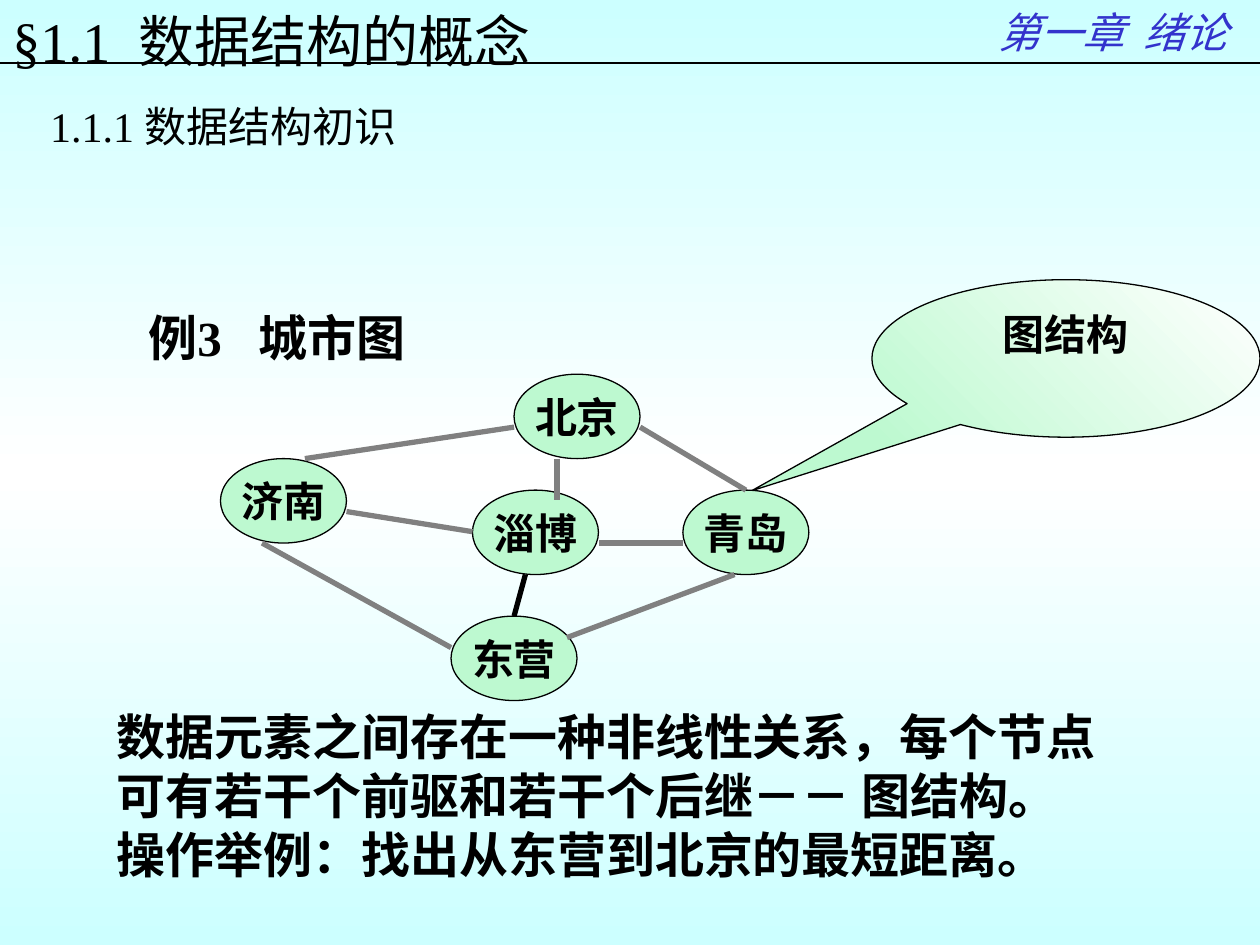
from lxml import etree
from pptx import Presentation, util as u
from pptx.dml.color import RGBColor
from pptx.enum import shapes, text
from pptx.oxml.ns import qn

WIDTH, HEIGHT = 10, 7.5
FONT = "Times New Roman"
BLACK, GRAY, BLUE, GREEN = "000000", "808080", "3333CC", "BDF9D0"
NODE_WIDTH, NODE_HEIGHT = WIDTH / 10, 0.67

BACKGROUND = [(0, "CCFFFF"), (50, "FFFFFF"), (100, "CCFFFF")]
CALLOUT_FILL = [(0, GREEN), (100, "FFFFFF")]
TEXT_BOXES = [
    (["例3   城市图"], (1.08, 2.39, 6.5, 0.57), dict(size=28, bold=True)),
    (["数据元素之间存在一种非线性关系，每个节点可有若干个前驱和若干个后继－－ 图结构。",
      "操作举例：找出从东营到北京的最短距离。"],
     (0.83, 5.56, 8.33, 1.52), dict(size=28, bold=True)),
    (["第一章  绪论"], (7.83, 0, 2.17, 0.5), dict(color=BLUE, italic=True)),
    (["§1.1  数据结构的概念"], (0, 0, 4.53, 0.63), dict(size=32, wrap=False)),
    (["1.1.1 数据结构初识"], (0.3, 0.75, 2.98, 0.51), dict()),
]
CITIES = {
    "北京": (4.08, 2.97),
    "济南": (1.75, 3.64),
    "淄博": (3.75, 3.89),
    "青岛": (5.42, 3.89),
    "东营": (3.58, 4.89),
}
ROADS = [
    ((4.08, 3.39), (2.42, 3.64), GRAY),
    ((4.42, 3.64), (4.42, 3.97), GRAY),
    ((5.08, 3.39), (5.92, 3.89), GRAY),
    ((3.75, 4.22), (2.75, 4.06), GRAY),
    ((2.08, 4.31), (3.58, 5.14), GRAY),
    ((4.17, 4.56), (4.08, 4.89), BLACK),
    ((5.83, 4.56), (4.5, 5.06), GRAY),
    ((5.42, 4.31), (4.75, 4.31), GRAY),
]


def rgb(value):
    return RGBColor.from_string(value)


def inches(values):
    return [u.Inches(value) for value in values]


def set_gradient(fill, element, stops, angle):
    fill.gradient()
    fill.gradient_angle = angle
    stop_list = next(element.iter(qn("a:gsLst")))
    for stop in list(stop_list):
        stop_list.remove(stop)
    for position, color in stops:
        stop = etree.SubElement(stop_list, qn("a:gs"), pos=str(position * 1000))
        etree.SubElement(stop, qn("a:srgbClr"), val=color)


def write(shape, lines, size=24, color=BLACK, bold=False, italic=False, wrap=True,
          align=text.PP_ALIGN.LEFT, anchor=text.MSO_ANCHOR.TOP):
    frame = shape.text_frame
    frame.word_wrap = wrap
    frame.vertical_anchor = anchor
    frame.text = "\n".join(lines)
    for paragraph in frame.paragraphs:
        paragraph.alignment = align
        font = paragraph.runs[0].font
        font.name, font.size = FONT, u.Pt(size)
        font.bold, font.italic = bold, italic
        font.color.rgb = rgb(color)


def add_outlined(slide, kind, box):
    shape = slide.shapes.add_shape(kind, *inches(box))
    shape.shadow.inherit = False
    shape.line.color.rgb = rgb(BLACK)
    shape.line.width = u.Pt(0.75)
    return shape


def add_line(slide, start, end, color, width):
    line = slide.shapes.add_connector(shapes.MSO_CONNECTOR.STRAIGHT, *inches(start + end))
    line.line.color.rgb = rgb(color)
    line.line.width = u.Pt(width)
    etree.SubElement(line._element.spPr, qn("a:effectLst"))


def main():
    presentation = Presentation()
    presentation.slide_width, presentation.slide_height = inches((WIDTH, HEIGHT))
    slide = presentation.slides.add_slide(presentation.slide_layouts[6])
    set_gradient(slide.background.fill, slide._element, BACKGROUND, 270)

    callout = add_outlined(slide, shapes.MSO_SHAPE.OVAL_CALLOUT, (6.92, 2.22, 3.08, 1.25))
    callout.adjustments[0], callout.adjustments[1] = -0.81, 0.84
    set_gradient(callout.fill, callout._element, CALLOUT_FILL, 45)
    write(callout, ["图结构"], bold=True, align=text.PP_ALIGN.CENTER)

    for city, corner in CITIES.items():
        node = add_outlined(slide, shapes.MSO_SHAPE.OVAL, corner + (NODE_WIDTH, NODE_HEIGHT))
        node.fill.solid()
        node.fill.fore_color.rgb = rgb(GREEN)
        write(node, [city], bold=True, wrap=False, align=text.PP_ALIGN.CENTER,
              anchor=text.MSO_ANCHOR.MIDDLE)

    for start, end, color in ROADS:
        add_line(slide, start, end, color, 3)
    add_line(slide, (0, 0.5), (WIDTH, 0.5), BLACK, 0.75)

    for lines, box, style in TEXT_BOXES:
        write(slide.shapes.add_textbox(*inches(box)), lines, **style)

    presentation.save("out.pptx")


if __name__ == "__main__":
    main()
